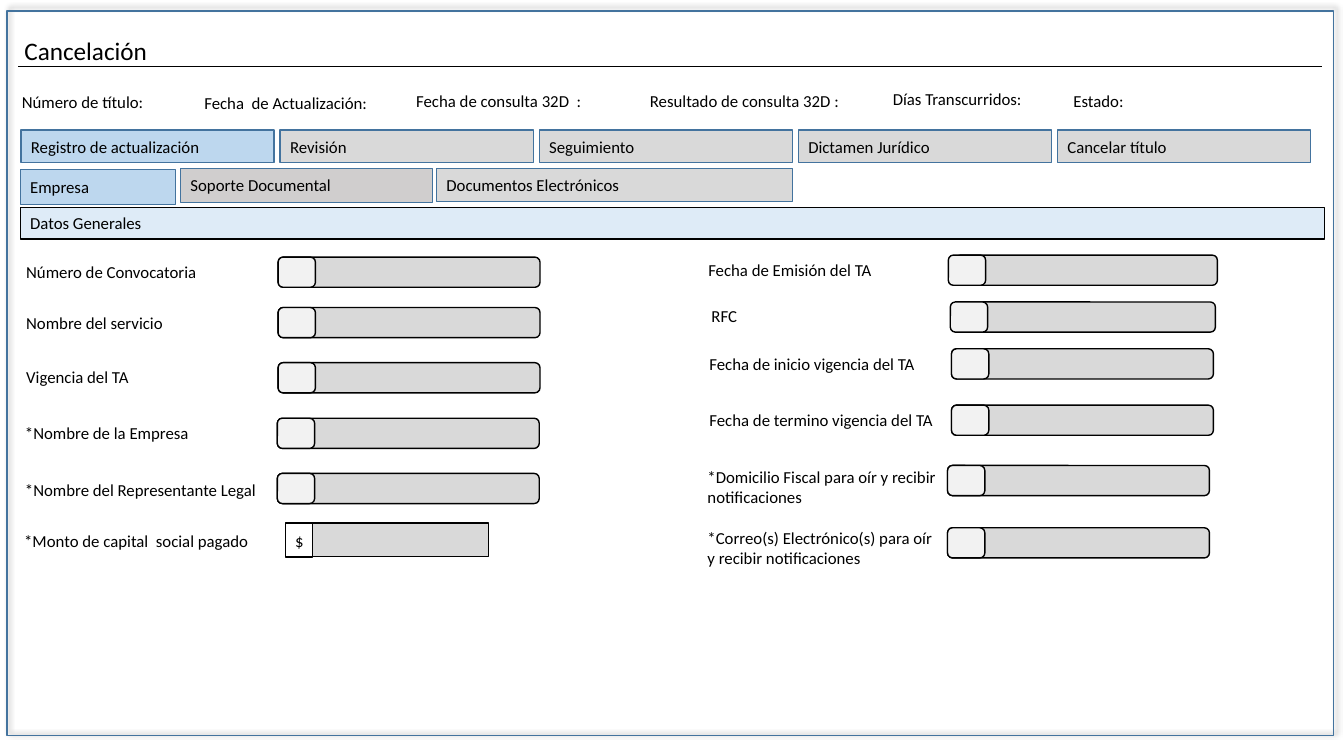
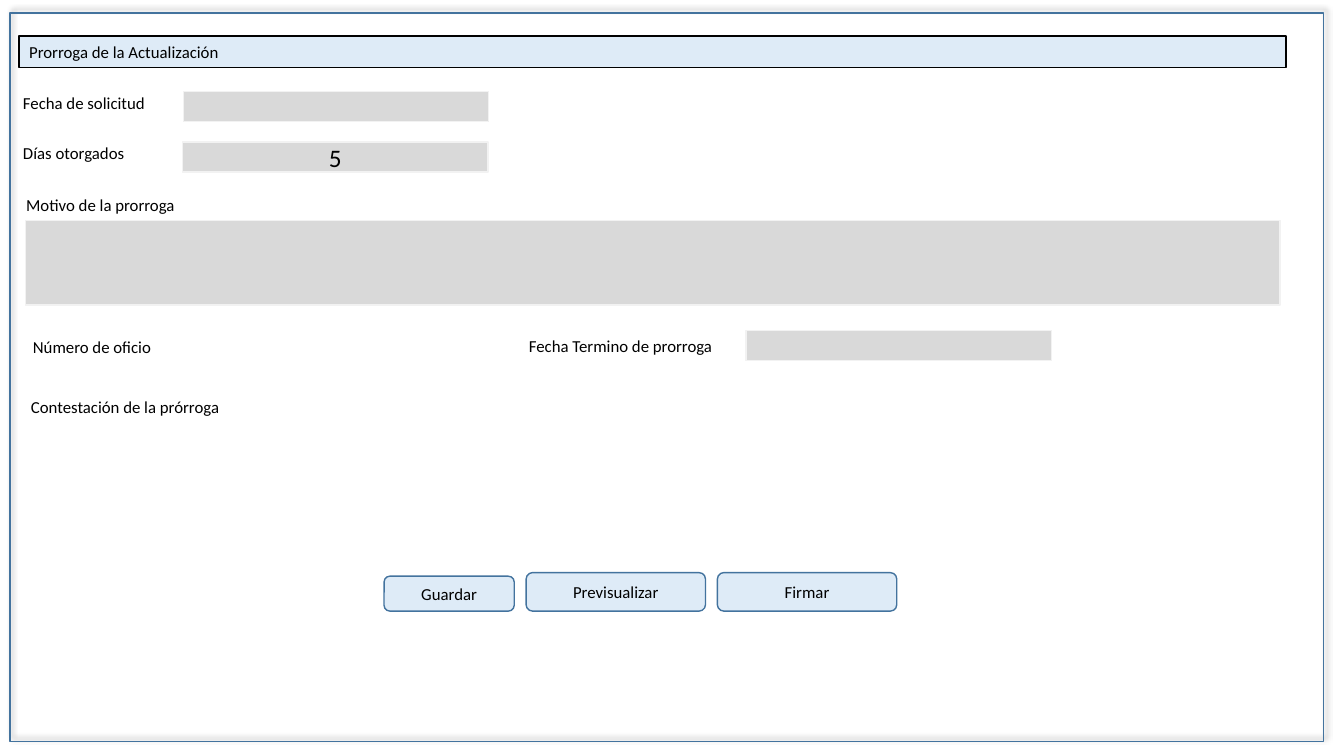
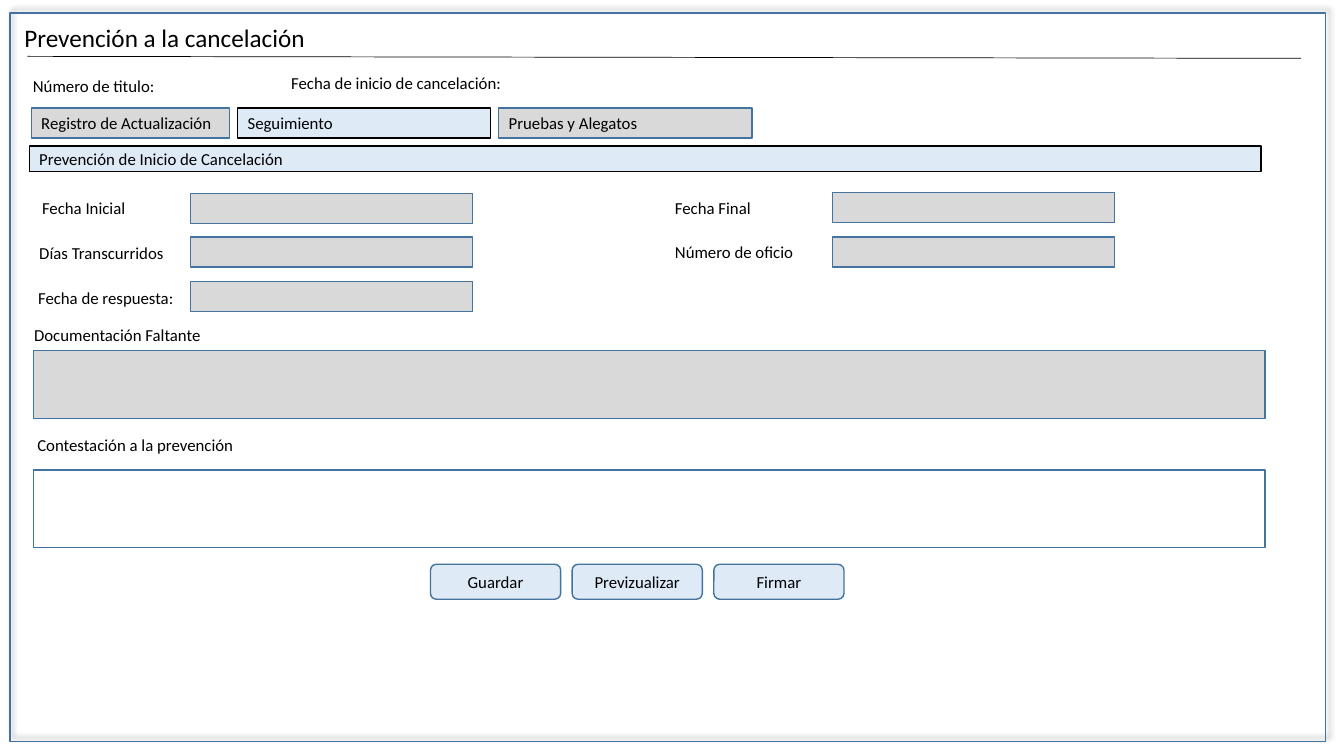
from lxml import etree
from pptx import Presentation
from pptx.dml.color import RGBColor
from pptx.enum.shapes import MSO_CONNECTOR, MSO_SHAPE
from pptx.enum.text import MSO_ANCHOR as Anchor, MSO_AUTO_SIZE, PP_ALIGN as Align
from pptx.oxml import parse_xml
from pptx.oxml.ns import nsdecls, qn
from pptx.util import Cm, Pt

FONT = "Calibri"
BLACK, WHITE = "000000", "FFFFFF"
BLUE_LINE, BLUE_TAB, BLUE_PALE = "43739E", "BDD7EE", "DEEBF7"
GREY, GREY_WARM, GREY_PALE = "D9D9D9", "D0CECE", "F2F2F2"
RECT, ROUND = MSO_SHAPE.RECTANGLE, MSO_SHAPE.ROUNDED_RECTANGLE
FIELD_HEIGHT = 0.76
LABEL_WIDTH = 9.12
color = RGBColor.from_string


def write(shape, text, size=12, align=Align.LEFT, anchor=Anchor.TOP):
    frame = shape.text_frame
    frame.word_wrap = True
    frame.auto_size = MSO_AUTO_SIZE.NONE
    frame.vertical_anchor = anchor
    para = frame.paragraphs[0]
    para.alignment = align
    span = para.add_run()
    span.text = text
    span.font.name = FONT
    span.font.size = Pt(size)
    span.font.color.rgb = color(BLACK)


def draw(page, place, fill, line, text="", kind=RECT, align=Align.LEFT, size=12):
    """Add a shape at place (left, top, width, height in cm)."""
    shape = page.shapes.add_shape(kind, *map(Cm, place))
    shape.shadow.inherit = False
    if fill:
        shape.fill.solid()
        shape.fill.fore_color.rgb = color(fill)
    else:
        shape.fill.background()
    shape.line.color.rgb = color(line)
    shape.line.width = Pt(1)
    if text:
        write(shape, text, size, align, Anchor.MIDDLE)
    return shape


deck = Presentation()
deck.slide_width, deck.slide_height = Cm(33.87), Cm(19.05)
title_only = deck.slide_layouts[5]

# Frame, title and title rule of every page
BAR_TITLE = (0.48, 0.91, 31.93, 0.79)
outlines = [
    ("Cancelación", (0.36, 0.76, 12.98, 1.02), (0.18, 0.28, 33.43, 18.26),
     (0.46, 1.68, 33.32, 1.68)),
    ("Prorroga de la Actualización", BAR_TITLE, (0.25, 0.33, 33.1, 18.36), None),
    ("Prevención a la cancelación", (0.36, 0.43, 12.98, 1.02),
     (0.25, 0.33, 33.15, 18.36), (0.69, 1.42, 32.79, 1.47)),
]
pages = []
for heading, title_place, frame_place, rule in outlines:
    page = deck.slides.add_slide(title_only)
    pages.append(page)

    border = draw(page, frame_place, None, BLUE_LINE)
    effects = border._element.spPr.find(qn("a:effectLst"))
    effects.append(parse_xml(
        f'<a:outerShdw {nsdecls("a")} blurRad="50800" dist="38100" dir="18900000" '
        'algn="bl" rotWithShape="0"><a:prstClr val="black"><a:alpha val="40000"/>'
        '</a:prstClr></a:outerShdw>'))

    title = page.shapes.title
    title.left, title.top, title.width, title.height = map(Cm, title_place)
    if rule:
        write(title, heading, size=18)
        stroke = page.shapes.add_connector(MSO_CONNECTOR.STRAIGHT, *map(Cm, rule))
        stroke.line.color.rgb = color(BLACK)
        stroke.line.width = Pt(0.5)
        etree.SubElement(stroke._element.spPr, qn("a:effectLst"))
    else:
        write(title, heading, anchor=Anchor.MIDDLE)
        title.fill.solid()
        title.fill.fore_color.rgb = color(BLUE_PALE)
        title.line.color.rgb = color(BLACK)
        title.line.width = Pt(1)

cancellation, extension, prevention = pages

# Cancellation: tabs and section bar
steps = ["Registro de actualización", "Revisión", "Seguimiento",
         "Dictamen Jurídico", "Cancelar título"]
for index, step in enumerate(steps):
    draw(cancellation, (0.53 + 6.53 * index, 3.28, 6.38, 0.82),
         GREY if index else BLUE_TAB, BLUE_LINE, step)
for text, left, top, width, height, fill in [
    ("Empresa", 0.51, 4.27, 3.91, 0.89, BLUE_TAB),
    ("Soporte Documental", 4.55, 4.24, 6.35, 0.86, GREY_WARM),
    ("Documentos Electrónicos", 11, 4.24, 8.97, 0.84, GREY),
]:
    draw(cancellation, (left, top, width, height), fill, BLUE_LINE, text)
draw(cancellation, (0.51, 5.23, 32.87, 0.79), BLUE_PALE, BLACK, "Datos Generales")

# Cancellation: label, its left and top, then badge left, bar left and field top
fields = [
    ("Número de Convocatoria", 0.41, 6.48, 7.01, 7.01, 6.48),
    ("Nombre del servicio", 0.41, 7.75, 7.01, 7.01, 7.75),
    ("Vigencia del TA", 0.41, 9.12, 7.01, 7.01, 9.14),
    ("*Nombre de la Empresa", 0.38, 10.52, 6.99, 6.99, 10.54),
    ("*Nombre del Representante Legal", 0.38, 11.96, 6.99, 6.99, 11.93),
    ("Fecha de Emisión del TA", 17.6, 6.43, 23.9, 24.08, 6.43),
    ("RFC", 17.68, 7.59, 23.95, 24.03, 7.61),
    ("Fecha de inicio vigencia del TA", 17.63, 8.79, 23.98, 23.98, 8.79),
    ("Fecha de termino vigencia del TA", 17.63, 10.21, 23.98, 23.98, 10.21),
    ("*Domicilio Fiscal para oír y recibir notificaciones",
     17.58, 11.63, 23.88, 23.88, 11.73),
    ("*Correo(s) Electrónico(s) para oír y recibir notificaciones",
     17.58, 13.18, 23.88, 23.88, 13.3),
]
for text, left, top, badge_left, bar_left, field_top in fields:
    draw(cancellation, (bar_left, field_top, 6.6, FIELD_HEIGHT), GREY, BLACK, kind=ROUND)
    draw(cancellation, (badge_left, field_top, 0.94, FIELD_HEIGHT), GREY_PALE, BLACK,
         kind=ROUND)
draw(cancellation, (7.19, 13.18, 5.13, 0.84), GREY, BLACK)
draw(cancellation, (7.19, 13.2, 0.69, 0.84), WHITE, BLACK, "$", align=Align.CENTER)

# Extension and prevention: tabs, section bar and fields
for text, left, width, fill, line in [
    ("Registro de Actualización", 0.79, 5, GREY, BLUE_LINE),
    ("Seguimiento", 5.99, 6.38, BLUE_PALE, BLACK),
    ("Pruebas y Alegatos", 12.57, 6.38, GREY, BLUE_LINE),
]:
    draw(prevention, (left, 2.72, width, 0.76), fill, line, text)
draw(prevention, (0.74, 3.68, 31.04, 0.64), BLUE_PALE, BLACK,
     "Prevención de Inicio de Cancelación")
for left, top in [(4.8, 4.88), (4.8, 5.97), (4.8, 7.09), (20.98, 4.85), (20.98, 5.97)]:
    draw(prevention, (left, top, 7.11, FIELD_HEIGHT), GREY, BLUE_LINE)
draw(prevention, (0.84, 8.84, 31.04, 1.7), GREY, BLUE_LINE)
draw(prevention, (0.84, 11.84, 31.04, 1.96), WHITE, BLUE_LINE)

for left, top, text in [(4.62, 2.31, ""), (4.6, 3.58, "5"), (18.8, 8.33, "")]:
    draw(extension, (left, top, 7.7, FIELD_HEIGHT), GREY, GREY_PALE, text,
         align=Align.CENTER, size=18)
draw(extension, (0.64, 5.56, 31.62, 2.13), GREY, GREY_PALE)

# Buttons
for page, text, left, top, width, height in [
    (extension, "Guardar", 9.68, 14.52, 3.28, 0.88),
    (extension, "Previsualizar", 13.26, 14.43, 4.52, 0.97),
    (extension, "Firmar", 18.08, 14.43, 4.52, 0.97),
    (prevention, "Guardar", 10.85, 14.22, 3.28, 0.88),
    (prevention, "Previzualizar", 14.42, 14.22, 3.28, 0.88),
    (prevention, "Firmar", 17.99, 14.22, 3.28, 0.88),
]:
    draw(page, (left, top, width, height), BLUE_PALE, BLUE_LINE, text, ROUND, Align.CENTER)

# Labels: text, left, top
labels = [
    (cancellation, [field[:3] for field in fields] + [
        ("Número de título:", 0.3, 2.18),
        ("Fecha  de Actualización:", 4.9, 2.2),
        ("Fecha de consulta 32D  :", 10.24, 2.17),
        ("Resultado de consulta 32D :", 16.13, 2.17),
        ("Días Transcurridos:", 22.25, 2.12),
        ("Estado:", 26.8, 2.17),
        ("*Monto de capital  social pagado", 0.36, 13.26),
    ]),
    (extension, [
        ("Fecha de solicitud", 0.33, 2.21),
        ("Días otorgados", 0.33, 3.48),
        ("Motivo de la prorroga", 0.41, 4.78),
        ("Número de oficio", 0.58, 8.36),
        ("Fecha Termino de prorroga", 13.08, 8.34),
        ("Contestación de la prórroga", 0.53, 9.87),
    ]),
    (prevention, [
        ("Número de titulo:", 0.58, 1.78),
        ("Fecha de inicio de cancelación:", 7.09, 1.7),
        ("Fecha Inicial", 0.81, 4.86),
        ("Días Transcurridos", 0.74, 6),
        ("Fecha de respuesta:", 0.71, 7.13),
        ("Fecha Final", 16.76, 4.86),
        ("Número de oficio", 16.76, 5.97),
        ("Documentación Faltante", 0.61, 8.07),
        ("Contestación a la prevención", 0.69, 10.83),
    ]),
]
for page, entries in labels:
    for text, left, top in entries:
        two_lines = text.endswith("notificaciones")
        width, height = (6.3, 1.27) if two_lines else (LABEL_WIDTH, FIELD_HEIGHT)
        if left > 24:
            width = 5.38
        write(page.shapes.add_textbox(Cm(left), Cm(top), Cm(width), Cm(height)), text)

deck.save("out.pptx")
